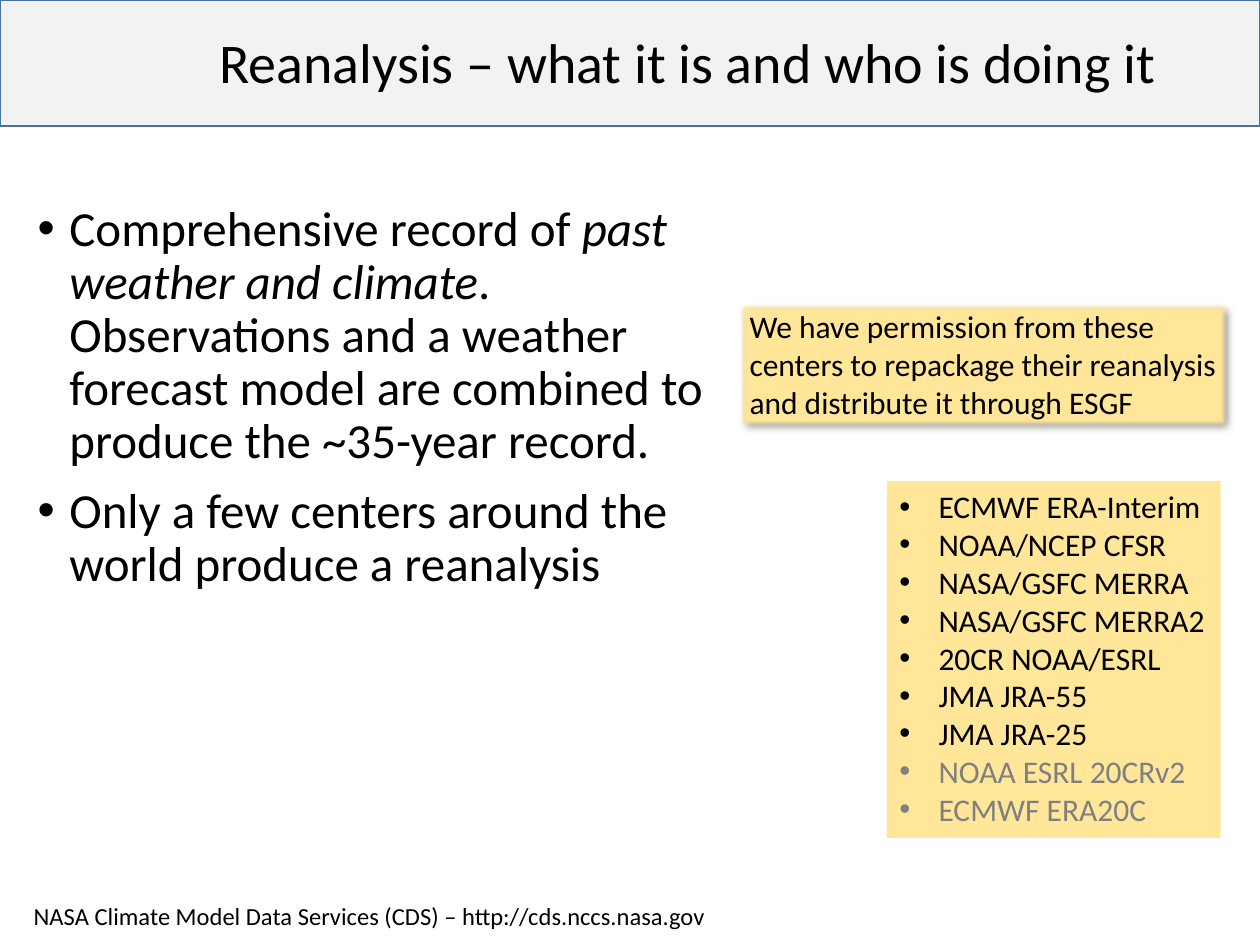
from lxml import etree
from pptx import Presentation
from pptx.dml.color import RGBColor
from pptx.enum.shapes import MSO_SHAPE
from pptx.enum.text import MSO_ANCHOR, PP_ALIGN
from pptx.oxml import parse_xml
from pptx.oxml.ns import nsdecls, qn
from pptx.util import Cm, Pt

RECTANGLE = MSO_SHAPE.RECTANGLE
TOP, MIDDLE = MSO_ANCHOR.TOP, MSO_ANCHOR.MIDDLE
LEFT = PP_ALIGN.LEFT

BLACK, GREY, YELLOW = "000000", "808080", "FFE699"
BAND_FILL, BAND_LINE = "F2F2F2", "43739E"

SUMMARY = [
    [("Comprehensive record of ", False),
     ("past weather and climate", True),
     (". Observations and a weather forecast model are combined to "
      "produce the ~35-year record.", False)],
    [("Only a few centers around the world produce a reanalysis", False)],
]
PERMITTED = ["ECMWF ERA-Interim", "NOAA/NCEP CFSR", "NASA/GSFC MERRA",
             "NASA/GSFC MERRA2", "20CR NOAA/ESRL", "JMA JRA-55", "JMA JRA-25"]
PENDING = ["NOAA ESRL 20CRv2", "ECMWF ERA20C"]


def add_panel(place, fill=None, anchor=TOP, wrap=True):
    """Add a rectangle, or a plain text box when there is no fill."""
    lengths = [Cm(value) for value in place]
    if fill:
        panel = page.shapes.add_shape(RECTANGLE, *lengths)
        panel.shadow.inherit = False
        panel.fill.solid()
        panel.fill.fore_color.rgb = RGBColor.from_string(fill)
        panel.line.fill.background()
    else:
        panel = page.shapes.add_textbox(*lengths)
    panel.text_frame.word_wrap = wrap
    panel.text_frame.vertical_anchor = anchor
    return panel


def write(box, index, spans, size, color=BLACK, indent=0, spacing=1.0):
    """Fill one paragraph; an indent in centimetres makes it a bullet."""
    frame = box.text_frame
    para = frame.paragraphs[0] if index == 0 else frame.add_paragraph()
    para.alignment = LEFT
    para.line_spacing = spacing
    if indent:
        properties = para._p.get_or_add_pPr()
        properties.set("marL", str(Cm(indent)))
        properties.set("indent", str(-Cm(indent)))
        etree.SubElement(properties, qn("a:buFont"), typeface="Arial")
        etree.SubElement(properties, qn("a:buChar"), char="•")
    para.font.name = "Calibri"
    para.font.size = Pt(size)
    para.font.color.rgb = RGBColor.from_string(color)
    for text, italic in spans:
        span = para.add_run()
        span.text = text
        if italic:
            span.font.italic = True
    return para


deck = Presentation()
deck.slide_width, deck.slide_height = Cm(25.4), Cm(19.05)
page = deck.slides.add_slide(deck.slide_layouts[6])

# Title band, title and footer
band = add_panel((0, 0, 25.4, 2.54), BAND_FILL)
band.line.color.rgb = RGBColor.from_string(BAND_LINE)
band.line.width = Pt(1)

footer = add_panel((0.43, 18.01, 14.4, 0.91), anchor=MIDDLE)
write(footer, 0, [("NASA Climate Model Data Services (CDS) – "
                   "http://cds.nccs.nasa.gov", False)], 14)

title = add_panel((4.17, -0.53, 21.89, 3.68), anchor=MIDDLE)
write(title, 0, [("Reanalysis – what it is and who is doing it", False)],
      32, spacing=0.9)

# Summary bullets
summary = add_panel((0.51, 3.99, 14.17, 13.79))
for index, spans in enumerate(SUMMARY):
    para = write(summary, index, spans, 28, indent=0.64, spacing=0.9)
    if index:
        para.space_before = Pt(10)

# Reanalysis data sets
datasets = add_panel((17.88, 9.7, 6.73, 7.19), YELLOW, wrap=False)
for index, name in enumerate(PERMITTED + PENDING):
    color = GREY if name in PENDING else BLACK
    write(datasets, index, [(name, False)], 18, color, indent=0.79)

# Permission note with a soft edge and a shadow
note = add_panel((14.86, 6.07, 9.93, 2.57), YELLOW)
write(note, 0, [("We have permission from these centers to repackage their "
                 "reanalysis and distribute it through ESGF", False)], 18)
effects = note._element.spPr.find(qn("a:effectLst"))
effects.append(parse_xml(
    f'<a:outerShdw {nsdecls("a")} blurRad="{Pt(4)}" dist="{Pt(3)}" '
    'dir="2700000" algn="tl" rotWithShape="0">'
    f'<a:srgbClr val="{BLACK}"><a:alpha val="40000"/></a:srgbClr>'
    '</a:outerShdw>'))
etree.SubElement(effects, qn("a:softEdge"), rad=str(Pt(2.5)))

deck.save("out.pptx")
